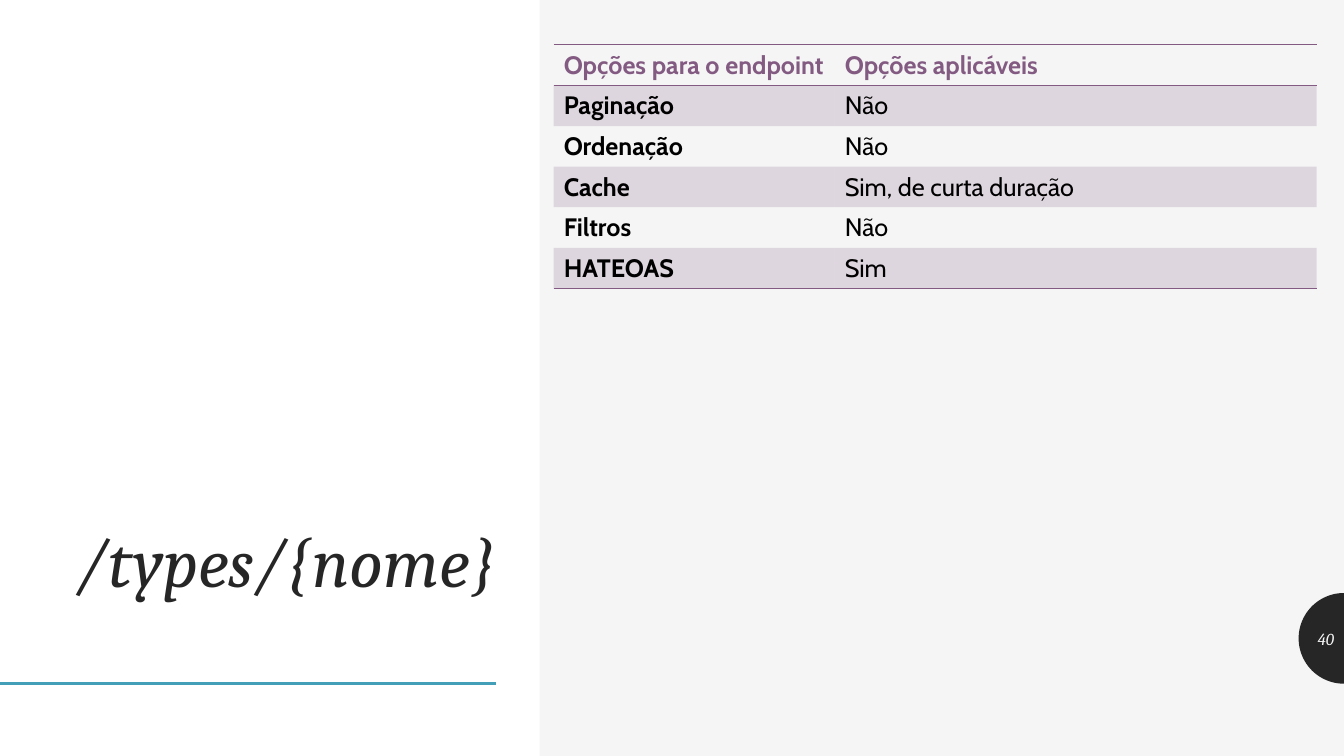
from math import cos, pi, sin

from lxml.etree import SubElement
from pptx import Presentation
from pptx.dml.color import RGBColor
from pptx.enum.shapes import MSO_CONNECTOR as Connector, MSO_SHAPE as Shape
from pptx.enum.text import MSO_ANCHOR as Anchor, PP_ALIGN as Align
from pptx.oxml import parse_xml
from pptx.oxml.ns import nsdecls, qn
from pptx.util import Pt

COLORS = {
    "background": "F5F5F5",
    "panel": "FFFFFF",
    "dark": "262626",
    "rule": "439EB7",
    "accent": "835B82",
    "text": "000000",
}
HEADING_FONT, BODY_FONT = "Cambria", "Cabin"
WIDTH, HEIGHT = 960, 540
PLAIN_TABLE_STYLE = "{2D5ABB26-0587-4C30-8999-92F81FD0307C}"
BAND_OPACITY = 20

OPTIONS = [
    ("Opções para o endpoint", "Opções aplicáveis"),
    ("Paginação", "Não"),
    ("Ordenação", "Não"),
    ("Cache", "Sim, de curta duração"),
    ("Filtros", "Não"),
    ("HATEOAS", "Sim"),
]


def rgb(name):
    return RGBColor.from_string(COLORS[name])


class SlideBuilder:
    def __init__(self, slide):
        self.slide = slide
        self.shapes = slide.shapes
        fill = slide.background.fill
        fill.solid()
        fill.fore_color.rgb = rgb("background")

    def paint(self, shape, color):
        shape.shadow.inherit = False
        shape.fill.solid()
        shape.fill.fore_color.rgb = rgb(color)
        shape.line.fill.background()

    def style(self, paragraph, font_name, size, color, bold=False, italic=False):
        font = paragraph.font
        font.name, font.size = font_name, Pt(size)
        font.bold, font.italic = bold, italic
        font.color.rgb = rgb(color)

    def rectangle(self, left, top, width, height, color):
        shape = self.shapes.add_shape(
            Shape.RECTANGLE, Pt(left), Pt(top), Pt(width), Pt(height))
        self.paint(shape, color)

    def left_half_disc(self, center_x, center_y, radius, color, steps=48):
        angles = [pi / 2 + pi * step / steps for step in range(steps + 1)]
        points = [(Pt(center_x + radius * cos(angle)), Pt(center_y - radius * sin(angle)))
                  for angle in angles]
        builder = self.shapes.build_freeform(*points[0])
        builder.add_line_segments(points[1:], close=True)
        self.paint(builder.convert_to_shape(), color)

    def line(self, x1, y1, x2, y2, color, width):
        connector = self.shapes.add_connector(
            Connector.STRAIGHT, Pt(x1), Pt(y1), Pt(x2), Pt(y2))
        connector.line.color.rgb = rgb(color)
        connector.line.width = Pt(width)
        SubElement(connector._element.spPr, qn("a:effectLst"))

    def heading(self, text, left, top, width, height, size, color, anchor, spacing=1.0):
        box = self.shapes.add_textbox(Pt(left), Pt(top), Pt(width), Pt(height))
        frame = box.text_frame
        frame.word_wrap = True
        frame.vertical_anchor = anchor
        paragraph = frame.paragraphs[0]
        paragraph.text = text
        paragraph.alignment = Align.RIGHT
        paragraph.line_spacing = spacing
        self.style(paragraph, HEADING_FONT, size, color, italic=True)

    def cell_border(self, cell, side, color, width=1):
        border = parse_xml(
            f'<a:{side} {nsdecls("a")} w="{Pt(width)}"><a:solidFill>'
            f'<a:srgbClr val="{COLORS[color]}"/></a:solidFill></a:{side}>')
        properties = cell._tc.get_or_add_tcPr()
        borders = properties.findall(qn("a:lnT"))
        properties.insert(len(borders), border)

    def cell_band(self, cell, color):
        cell.fill.solid()
        cell.fill.fore_color.rgb = rgb(color)
        color_element = cell._tc.tcPr.find(".//" + qn("a:srgbClr"))
        SubElement(color_element, qn("a:alpha"), val=str(BAND_OPACITY * 1000))

    def table(self, rows, left, top, column_widths, row_height):
        frame = self.shapes.add_table(
            len(rows), len(column_widths), Pt(left), Pt(top),
            Pt(sum(column_widths)), Pt(row_height * len(rows)))
        table = frame.table
        table._tbl.tblPr.find(qn("a:tableStyleId")).text = PLAIN_TABLE_STYLE
        for column, width in zip(table.columns, column_widths):
            column.width = Pt(width)
        for row_index, values in enumerate(rows):
            table.rows[row_index].height = Pt(row_height)
            is_header = row_index == 0
            for column_index, value in enumerate(values):
                cell = table.cell(row_index, column_index)
                cell.text = value
                self.style(cell.text_frame.paragraphs[0], BODY_FONT, 18,
                           "accent" if is_header else "text",
                           bold=is_header or column_index == 0)
                if row_index % 2:
                    self.cell_band(cell, "accent")
                else:
                    cell.fill.background()
                if is_header:
                    self.cell_border(cell, "lnT", "accent")
                if is_header or row_index == len(rows) - 1:
                    self.cell_border(cell, "lnB", "accent")


def main():
    presentation = Presentation()
    presentation.slide_width, presentation.slide_height = Pt(WIDTH), Pt(HEIGHT)
    builder = SlideBuilder(presentation.slides.add_slide(presentation.slide_layouts[6]))

    # Left panel with title and rule
    builder.rectangle(0, 0, 385.5, HEIGHT, "panel")
    builder.line(0, 488, 354, 488, "rule", 2)
    builder.heading("/types/{nome}", 0, 44, 362, 390, 50, "dark", Anchor.BOTTOM, spacing=0.9)

    # Page number on the right edge
    builder.left_half_disc(WIDTH, 456, 32.4, "dark")
    builder.heading("40", 928, 441.5, 32, 29, 12, "background", Anchor.MIDDLE)

    # Endpoint options
    builder.table(OPTIONS, 395.5, 32, (200.75, 344.25), 29)

    presentation.save("out.pptx")


if __name__ == "__main__":
    main()
